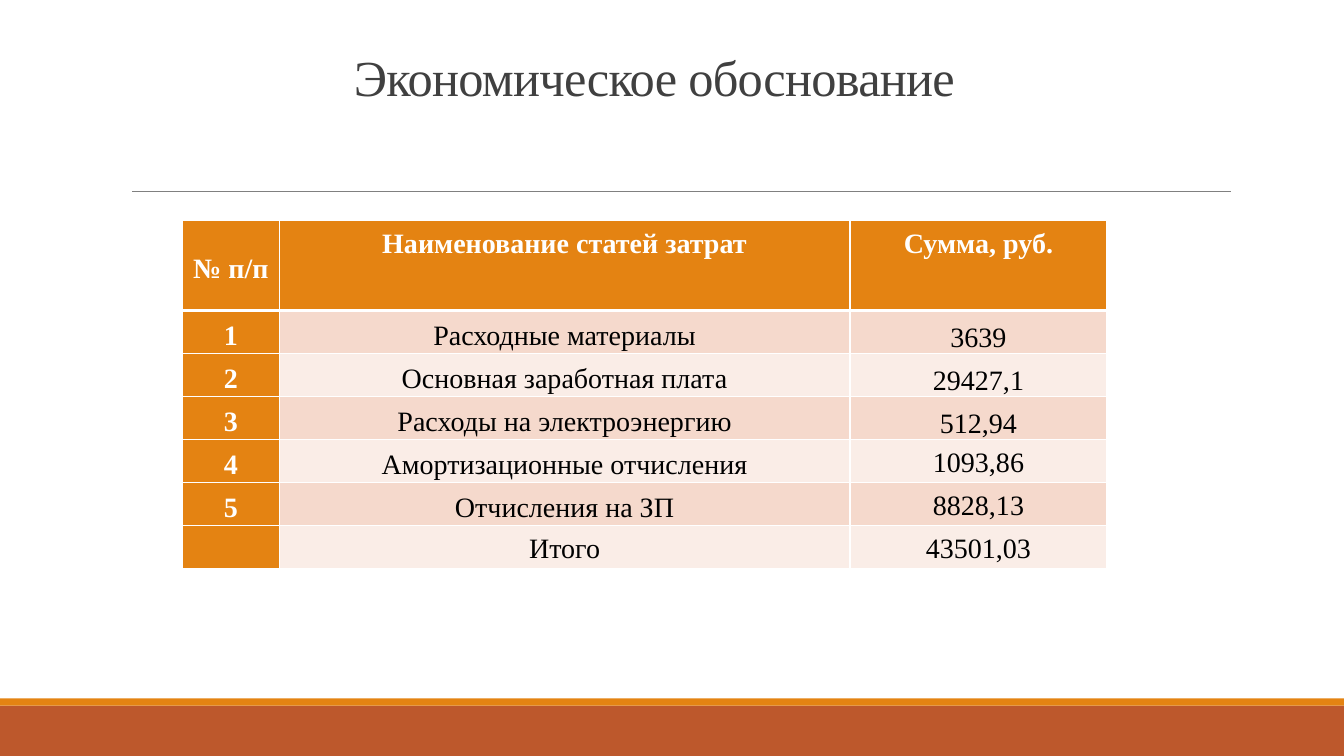
from lxml.etree import SubElement
from pptx import Presentation
from pptx.dml.color import RGBColor
from pptx.enum.shapes import MSO_CONNECTOR as CONN, MSO_SHAPE as SHAPE
from pptx.enum.text import MSO_ANCHOR as ANCHOR, PP_ALIGN as ALIGN
from pptx.oxml.ns import qn
from pptx.util import Inches, Pt

ORANGE = RGBColor(0xE4, 0x83, 0x12)
RUST = RGBColor(0xBD, 0x58, 0x2C)
GRAY = RGBColor(0x80, 0x80, 0x80)
DARK = RGBColor(0x40, 0x40, 0x40)
WHITE = RGBColor(0xFF, 0xFF, 0xFF)
BLACK = RGBColor(0x00, 0x00, 0x00)
BANDS = (RGBColor(0xF5, 0xD9, 0xCC), RGBColor(0xFA, 0xED, 0xE7))

HEADER = ("№ п/п", "Наименование статей затрат", "Сумма, руб.")
COSTS = (
    ("1", "Расходные материалы", "3639"),
    ("2", "Основная заработная плата", "29427,1"),
    ("3", "Расходы на электроэнергию", "512,94"),
    ("4", "Амортизационные отчисления", "1093,86"),
    ("5", "Отчисления на ЗП", "8828,13"),
    ("", "Итого", "43501,03"),
)
HEADER_ANCHORS = (ANCHOR.MIDDLE, ANCHOR.TOP, ANCHOR.TOP)
AMOUNT_ANCHORS = (ANCHOR.BOTTOM,) * 3 + (ANCHOR.TOP,) * 3


class SlideBuilder:
    font = "Times New Roman"

    def __init__(self, prs):
        self.slide = prs.slides.add_slide(prs.slide_layouts[5])

    def run(self, p, text, size, color, bold=False):
        r = p.add_run()
        r.text = text
        r.font.name = self.font
        r.font.size = Pt(size)
        r.font.bold = bold
        r.font.color.rgb = color
        return r

    def band(self, top, height, color):
        sp = self.slide.shapes.add_shape(
            SHAPE.RECTANGLE, 0, Inches(top), Inches(13.33), Inches(height))
        sp.shadow.inherit = False
        sp.fill.solid()
        sp.fill.fore_color.rgb = color
        sp.line.fill.background()

    def rule(self, left, right, y):
        ln = self.slide.shapes.add_connector(
            CONN.STRAIGHT, Inches(left), Inches(y), Inches(right), Inches(y))
        ln.line.color.rgb = GRAY
        ln.line.width = Pt(0.5)
        SubElement(ln._element.spPr, qn("a:effectLst"))

    def title(self, text, left, top, width, height):
        sp = self.slide.shapes.title
        sp.left, sp.top = Inches(left), Inches(top)
        sp.width, sp.height = Inches(width), Inches(height)
        tf = sp.text_frame
        tf.word_wrap = True
        tf.vertical_anchor = ANCHOR.BOTTOM
        p = tf.paragraphs[0]
        p.alignment = ALIGN.LEFT
        p.line_spacing = 0.85
        r = self.run(p, text, 36, DARK)
        r.font._element.set("spc", "-50")

    def borders(self, cell, top, bottom):
        tcPr = cell._tc.get_or_add_tcPr()
        for side, width in (("L", 1), ("R", 1), ("T", top), ("B", bottom)):
            ln = SubElement(tcPr, qn(f"a:ln{side}"), w=str(Pt(width)))
            fill = SubElement(ln, qn("a:solidFill"))
            SubElement(fill, qn("a:srgbClr"), val=str(WHITE))

    def cell(self, cell, text, fill, color, bold, anchor):
        cell.margin_left = cell.margin_right = Inches(0.07)
        cell.margin_top = cell.margin_bottom = 0
        cell.vertical_anchor = anchor
        cell.fill.solid()
        cell.fill.fore_color.rgb = fill
        if text:
            p = cell.text_frame.paragraphs[0]
            p.alignment = ALIGN.CENTER
            p.line_spacing = 1.25
            self.run(p, text, 20, color, bold)

    def cost_table(self, left, top, widths, header_height, height):
        rows = (HEADER,) + COSTS
        table = self.slide.shapes.add_table(
            len(rows), len(widths), Inches(left), Inches(top),
            Inches(sum(widths)), Inches(height)).table
        table.first_col = True
        for col, width in zip(table.columns, widths):
            col.width = Inches(width)
        row_height = (height - header_height) / len(COSTS)
        for i, row in enumerate(rows):
            table.rows[i].height = Inches(row_height if i else header_height)
            for j, text in enumerate(row):
                strong = i == 0 or j == 0
                if i == 0:
                    anchor = HEADER_ANCHORS[j]
                elif j == 2:
                    anchor = AMOUNT_ANCHORS[i - 1]
                else:
                    anchor = ANCHOR.TOP if row[0] == "" else ANCHOR.MIDDLE
                cell = table.cell(i, j)
                self.borders(cell, 3 if i == 1 else 1, 3 if i == 0 else 1)
                self.cell(cell, text, ORANGE if strong else BANDS[(i - 1) % 2],
                          WHITE if strong else BLACK, strong, anchor)


def main():
    prs = Presentation()
    prs.slide_width, prs.slide_height = Inches(13.33), Inches(7.5)
    page = SlideBuilder(prs)
    page.band(7, 0.5, RUST)
    page.band(6.93, 0.07, ORANGE)
    page.rule(1.31, 12.21, 1.9)
    page.title("Экономическое обоснование", 3.41, 0.19, 7.04, 0.92)
    page.cost_table(1.81, 2.19, (0.96, 5.66, 2.55), 0.89, 3.45)
    prs.save("out.pptx")


if __name__ == "__main__":
    main()
